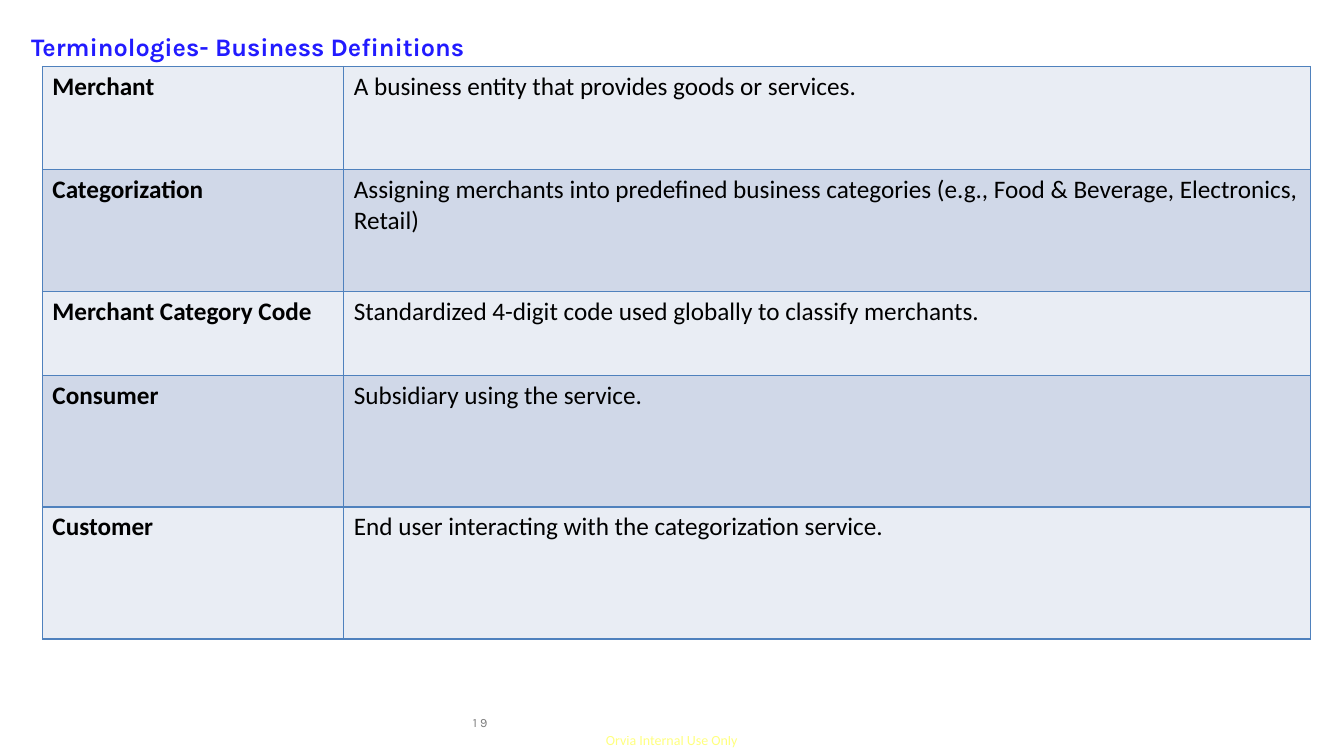
from pptx import Presentation
from pptx.dml.color import RGBColor as Rgb
from pptx.enum.text import MSO_AUTO_SIZE as Fit
from pptx.oxml import parse_xml
from pptx.oxml.ns import nsdecls
from pptx.util import Inches, Pt

COLORS = {
    "title": "221BFF",
    "number": "7E7E7E",
    "footer": "FFFF00",
    "text": "000000",
    "border": "4F81BD",
    "light": "E9EDF4",
    "dark": "D0D8E8",
}


def style(font, name, size, color, bold=False):
    for key, value in {"name": name, "size": Pt(size), "bold": bold}.items():
        setattr(font, key, value)
    font.color.rgb = Rgb.from_string(COLORS[color])


def border(cell):
    """Draw a thin line on all four sides of a table cell."""
    props = cell._tc.get_or_add_tcPr()
    for i, side in enumerate(("lnL", "lnR", "lnT", "lnB")):
        props.insert(i, parse_xml(
            f'<a:{side} {nsdecls("a")} w="12700"><a:solidFill>'
            f'<a:srgbClr val="{COLORS["border"]}"/></a:solidFill></a:{side}>'))


deck = Presentation()
deck.slide_width, deck.slide_height = Inches(13.33), Inches(7.5)
slide = deck.slides.add_slide(deck.slide_layouts[6])

# Title, page number and footer: place, top inset, text, font
labels = [
    ((0.31, 0.29, 10.96, 0.33), 0.02, "Terminologies- Business Definitions",
     ("Karla", 18, "title", True)),
    ((4.69, 7.05, 0.25, 0.19), 0.04, "1 9", ("Karla", 9, "number")),
    ((6.01, 7.26, 1.34, 0.17), 0, "Orvia Internal Use Only",
     ("Calibri", 10, "footer")),
]
for place, top, text, look in labels:
    box = slide.shapes.add_textbox(*map(Inches, place))
    frame = box.text_frame
    form = {"word_wrap": True, "auto_size": Fit.NONE, "margin_left": 0,
            "margin_right": 0, "margin_top": Inches(top), "margin_bottom": 0}
    for key, value in form.items():
        setattr(frame, key, value)
    run = frame.paragraphs[0].add_run()
    run.text = text
    style(run.font, *look)

# The footer, last in the list, is half transparent
tint = run._r.find(".//{*}srgbClr")
tint.append(parse_xml(f'<a:alpha {nsdecls("a")} val="50000"/>'))

# Definitions: row height, term, meaning
terms = [
    (1.02, "Merchant", "A business entity that provides goods or services."),
    (1.21, "Categorization",
     "Assigning merchants into predefined business categories "
     "(e.g., Food & Beverage, Electronics, Retail)"),
    (0.84, "Merchant Category Code",
     "Standardized 4-digit code used globally to classify merchants."),
    (1.3, "Consumer", "Subsidiary using the service."),
    (1.31, "Customer",
     "End user interacting with the categorization service."),
]
table = slide.shapes.add_table(
    len(terms), 2, Inches(0.42), Inches(0.66), Inches(12.58), Inches(5.68)).table
table.first_row = False
for col, width in zip(table.columns, (2.99, 9.59)):
    col.width = Inches(width)
for r, (height, *words) in enumerate(terms):
    table.rows[r].height = Inches(height)
    for c, text in enumerate(words):
        cell = table.cell(r, c)
        cell.fill.solid()
        cell.fill.fore_color.rgb = Rgb.from_string(
            COLORS["dark" if r % 2 else "light"])
        border(cell)
        run = cell.text_frame.paragraphs[0].add_run()
        run.text = text
        style(run.font, "Calibri", 18, "text", c == 0)

deck.save("out.pptx")
